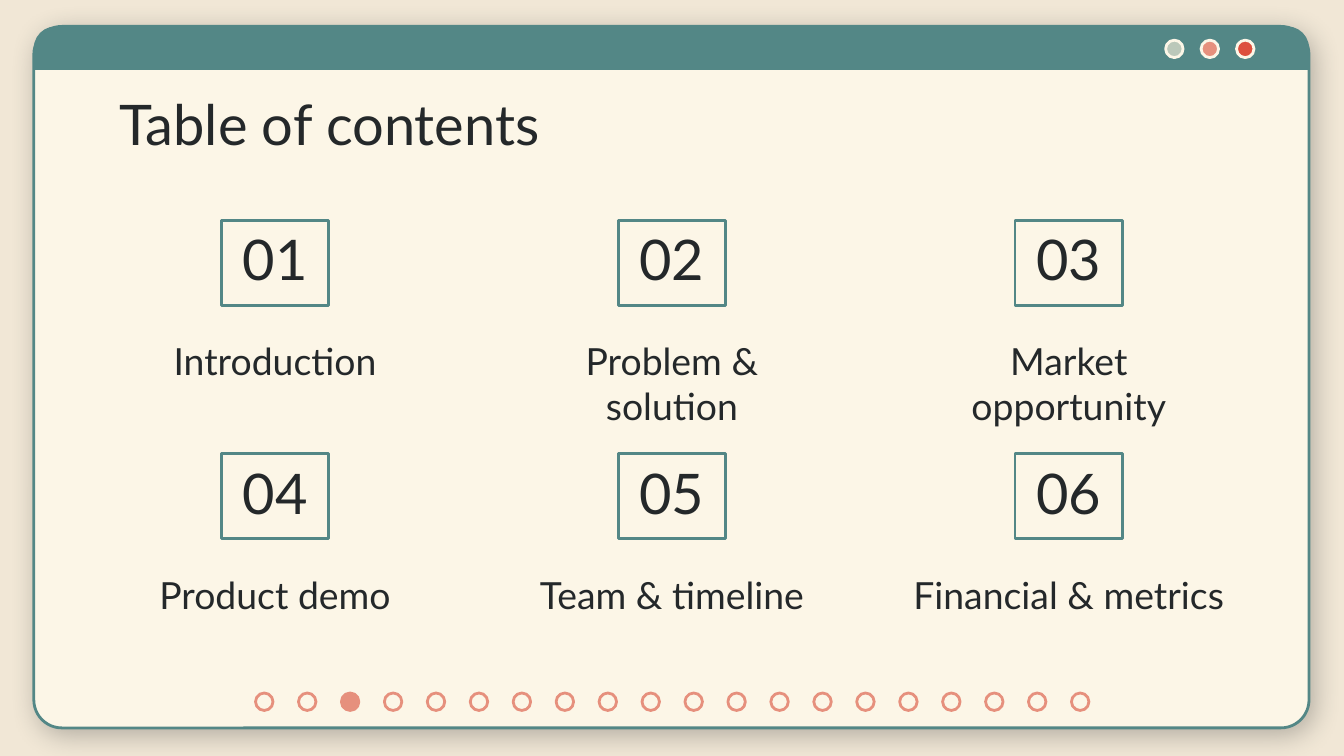
import pptx
import pptx.dml.color
import pptx.enum.shapes
import pptx.enum.text
import pptx.oxml
import pptx.oxml.ns
import pptx.util
from pptx.util import Cm

SHAPE = pptx.enum.shapes.MSO_SHAPE
ALIGN = pptx.enum.text.PP_ALIGN
ANCHOR = pptx.enum.text.MSO_ANCHOR

SAND, CREAM, TEAL, INK = "F1E7D6", "FCF6E7", "538786", "24282A"
SAGE, CORAL, RED = "BBC8BA", "E6907D", "DD4F3D"

DOT_SIZE = 0.33
TOPICS = ["Introduction", "Problem & solution", "Market opportunity",
          "Product demo", "Team & timeline", "Financial & metrics"]

SHADOW = """<a:effectLst %s>
  <a:outerShdw blurRad="185420" dist="48260" dir="3000000" algn="bl" rotWithShape="0">
    <a:srgbClr val="%s"><a:alpha val="30000"/></a:srgbClr>
  </a:outerShdw>
</a:effectLst>"""


def color(hex_code):
    return pptx.dml.color.RGBColor.from_string(hex_code)


def set_formats(target, formats):
    for name, value in formats.items():
        setattr(target, name, value)


def add_shape(page, kind, box, fill=None, line=None):
    """Add a shadowless shape; box is left, top, width, height in cm."""
    shape = page.shapes.add_shape(kind, *map(Cm, box))
    shape.shadow.inherit = False
    if fill:
        shape.fill.solid()
        shape.fill.fore_color.rgb = color(fill)
    else:
        shape.fill.background()
    if line:
        shape.line.color.rgb = color(line)
        shape.line.width = pptx.util.Pt(1.5)
    else:
        shape.line.fill.background()
    return shape


def write(shape, text, size, align=ALIGN.CENTER, anchor=ANCHOR.TOP):
    frame = shape.text_frame
    inset = Cm(0.25)
    set_formats(frame, {
        "word_wrap": True, "auto_size": pptx.enum.text.MSO_AUTO_SIZE.NONE,
        "vertical_anchor": anchor, "margin_left": inset, "margin_right": inset,
        "margin_top": inset, "margin_bottom": inset})
    para = frame.paragraphs[0]
    para.alignment = align
    span = para.add_run()
    span.text = text
    set_formats(span.font, {"name": "Lato", "size": pptx.util.Pt(size)})
    span.font.color.rgb = color(INK)


def add_dots(page, left, top, pitch, fills, line):
    for index, fill in enumerate(fills):
        box = (left + index * pitch, top, DOT_SIZE, DOT_SIZE)
        add_shape(page, SHAPE.OVAL, box, fill, line)


def add_window(page, box):
    left, top, width, height = box
    body = add_shape(page, SHAPE.ROUNDED_RECTANGLE, box, CREAM, TEAL)
    body.adjustments[0] = 0.04
    properties = body.element.spPr
    properties.remove(properties.find(pptx.oxml.ns.qn("a:effectLst")))
    properties.append(pptx.oxml.parse_xml(SHADOW % (pptx.oxml.ns.nsdecls("a"), INK)))

    bar = add_shape(page, SHAPE.ROUND_2_SAME_RECTANGLE, (left, top, width, 0.82), TEAL)
    bar.adjustments[0] = 0.5
    add_dots(page, left + width - 2.71, top + 0.26, 0.67, [SAGE, CORAL, RED], CREAM)


def add_title(page, box, text):
    title = page.shapes.title
    set_formats(title, dict(zip(("left", "top", "width", "height"), map(Cm, box))))
    write(title, text, 30, ALIGN.LEFT)
    # Bring the title in front of the window.
    title.element.getparent().append(title.element)


def add_topic(page, box, number, topic):
    """Put a framed number above its centred label."""
    left, top, width, height = box
    number_width, label_height = 2.03, 1.42
    number_box = (left + (width - number_width) / 2, top, number_width, 1.6)
    frame = add_shape(page, SHAPE.RECTANGLE, number_box, line=TEAL)
    write(frame, f"{number:02}", 30, anchor=ANCHOR.BOTTOM)

    label_box = (left, top + height - label_height, width, label_height)
    label = page.shapes.add_textbox(*map(Cm, label_box))
    write(label, topic, 20)


def add_contents(page, box, columns=3, rows=2):
    left, top, width, height = box
    cell_width, cell_height = 6.4, 3.4
    step_x = (width - cell_width) / (columns - 1)
    step_y = (height - cell_height) / (rows - 1)
    for index, topic in enumerate(TOPICS):
        row, column = divmod(index, columns)
        cell = (left + column * step_x, top + row * step_y, cell_width, cell_height)
        add_topic(page, cell, index + 1, topic)


def add_progress(page, box, count, current):
    """Draw one dot per page, with the current page filled."""
    left, top, width, _ = box
    fills = [CORAL if number == current else CREAM for number in range(1, count + 1)]
    add_dots(page, left, top, (width - DOT_SIZE) / (count - 1), fills, CORAL)


def main():
    deck = pptx.Presentation()
    set_formats(deck, {"slide_width": Cm(25.4), "slide_height": Cm(14.29)})
    page = deck.slides.add_slide(deck.slide_layouts.get_by_name("Title Only"))
    page.background.fill.solid()
    page.background.fill.fore_color.rgb = color(SAND)

    add_window(page, (0.64, 0.5, 24.1, 13.26))
    add_title(page, (2, 1.45, 21.4, 1.6), "Table of contents")
    add_contents(page, (2, 4.17, 21.4, 7.81))
    add_progress(page, (4.83, 13.1, 15.75, DOT_SIZE), count=20, current=3)
    deck.save("out.pptx")


if __name__ == "__main__":
    main()
